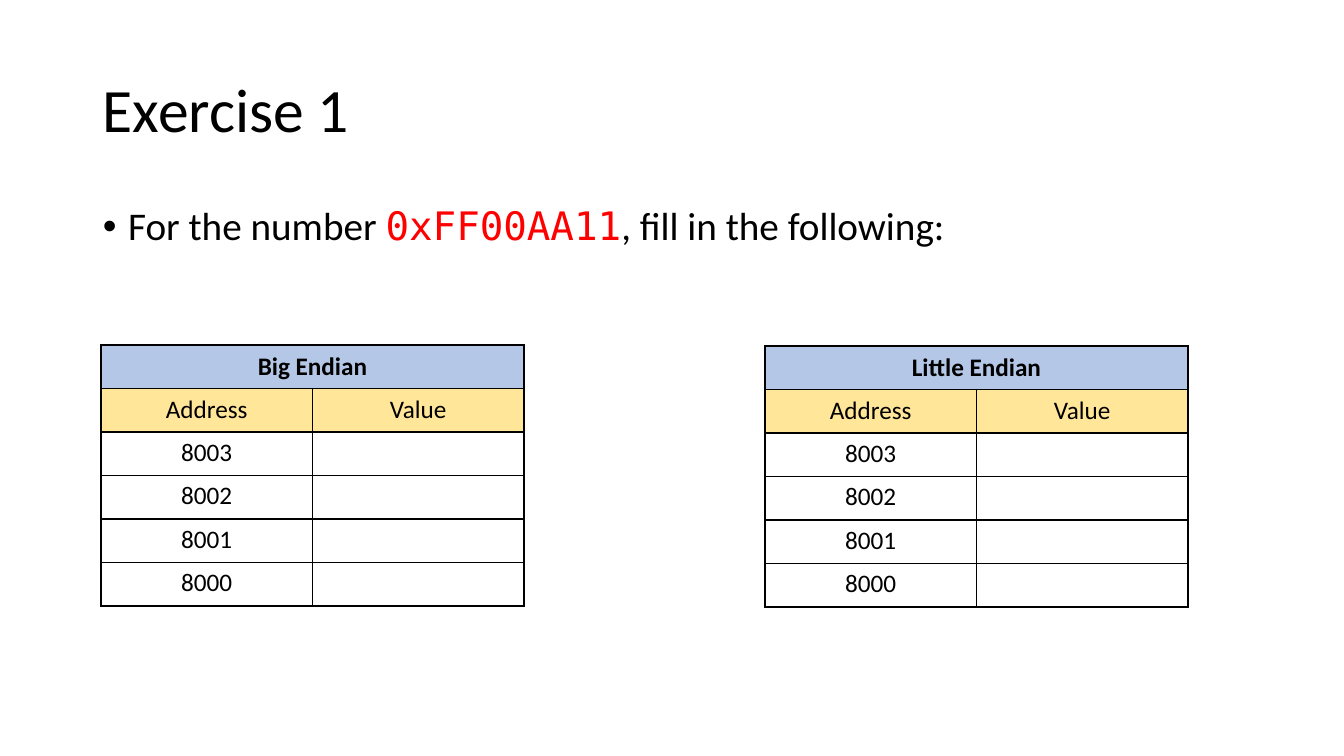
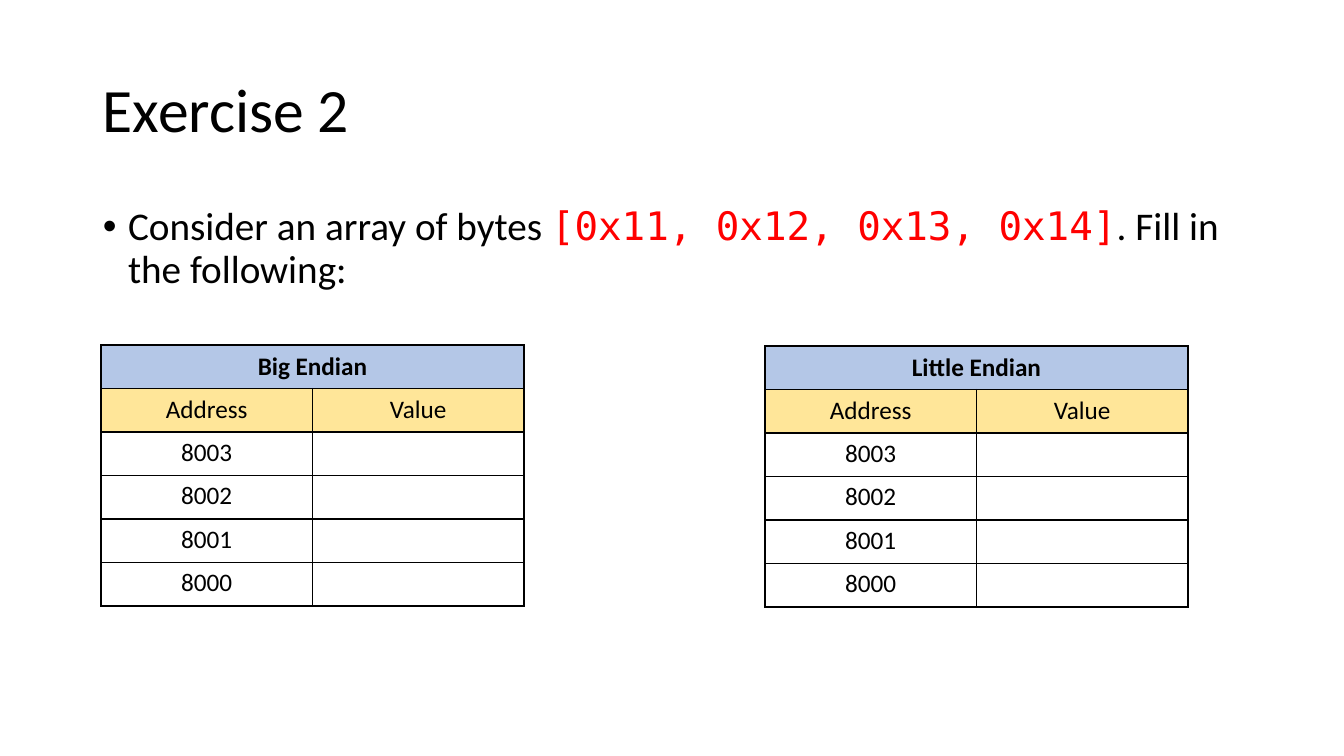
from lxml import etree
from pptx import Presentation, util as u
from pptx.dml.color import RGBColor
from pptx.enum import text
from pptx.oxml import ns

PX = 9525 * 96 / 100.8
BLACK, WHITE, RED, BLUE, YELLOW = "000000", "FFFFFF", "FF0000", "B4C7E7", "FFE699"
SANS, MONO = "Calibri", "DejaVu Sans Mono"
ROWS = [("Address", "Value")] + [(str(a), "") for a in range(8003, 7999, -1)]
TABLES = [("Big Endian", 101, 345), ("Little Endian", 765, 346)]
TABLE_W, TABLE_H = 423, 261
SLIDES = [
    ("Exercise 1", 59, "For the number ", "0xFF00AA11", ", fill in the following:"),
    ("Exercise 2", 110, "Consider an array of bytes ", "[0x11, 0x12, 0x13, 0x14]",
     ". Fill in the following:"),
]


def box(s, top, height, size, runs):
    sp = s.shapes.add_textbox(*[round(v * PX) for v in (93, top, 1159, height)])
    tf = sp.text_frame
    tf.word_wrap = True
    p = tf.paragraphs[0]
    p.line_spacing = 0.9
    for words, font, color in runs:
        r = p.add_run()
        r.text = words
        style(r, size, font, color)
    return tf


def style(r, size, font=SANS, color=BLACK, bold=False):
    r.font.size, r.font.name, r.font.bold = u.Pt(size), font, bold
    r.font.color.rgb = RGBColor.from_string(color)


prs = Presentation()
prs.slide_width, prs.slide_height = round(1344 * PX), round(756 * PX)

for title, height, before, code, after in SLIDES:
    s = prs.slides.add_slide(prs.slide_layouts[6])
    tf = box(s, 40, 146, 44, [(title, SANS, BLACK)])
    tf.vertical_anchor = text.MSO_ANCHOR.MIDDLE

    tf = box(s, 202, height, 28,
             [(before, SANS, BLACK), (code, MONO, RED), (after, SANS, BLACK)])
    p = tf.paragraphs[0]
    p.space_before = u.Pt(10)
    pPr = p._p.get_or_add_pPr()
    pPr.set("marL", str(u.Inches(0.25)))
    pPr.set("indent", str(-u.Inches(0.25)))
    etree.SubElement(pPr, ns.qn("a:buFont")).set("typeface", "Arial")
    etree.SubElement(pPr, ns.qn("a:buChar")).set("char", "•")

    for heading, left, top in TABLES:
        rows = [(heading, "")] + ROWS
        area = [round(v * PX) for v in (left, top, TABLE_W, TABLE_H)]
        table = s.shapes.add_table(len(rows), 2, *area).table
        table.first_row = table.horz_banding = False
        table.cell(0, 0).merge(table.cell(0, 1))
        for i, row in enumerate(rows):
            for j, words in enumerate(row):
                cell = table.cell(i, j)
                tcPr = cell._tc.get_or_add_tcPr()
                for side in ("lnL", "lnR", "lnT", "lnB"):
                    ln = etree.SubElement(tcPr, ns.qn("a:" + side), w=str(u.Pt(1)))
                    line_fill = etree.SubElement(ln, ns.qn("a:solidFill"))
                    etree.SubElement(line_fill, ns.qn("a:srgbClr"), val=BLACK)
                cell.fill.solid()
                fill = (BLUE, YELLOW)[i] if i < 2 else WHITE
                cell.fill.fore_color.rgb = RGBColor.from_string(fill)
                if i < 2:
                    cell.vertical_anchor = text.MSO_ANCHOR.MIDDLE
                if words:
                    p = cell.text_frame.paragraphs[0]
                    p.text = words
                    p.alignment = text.PP_ALIGN.CENTER
                    style(p.runs[0], 18, bold=i == 0)

prs.save("out.pptx")
